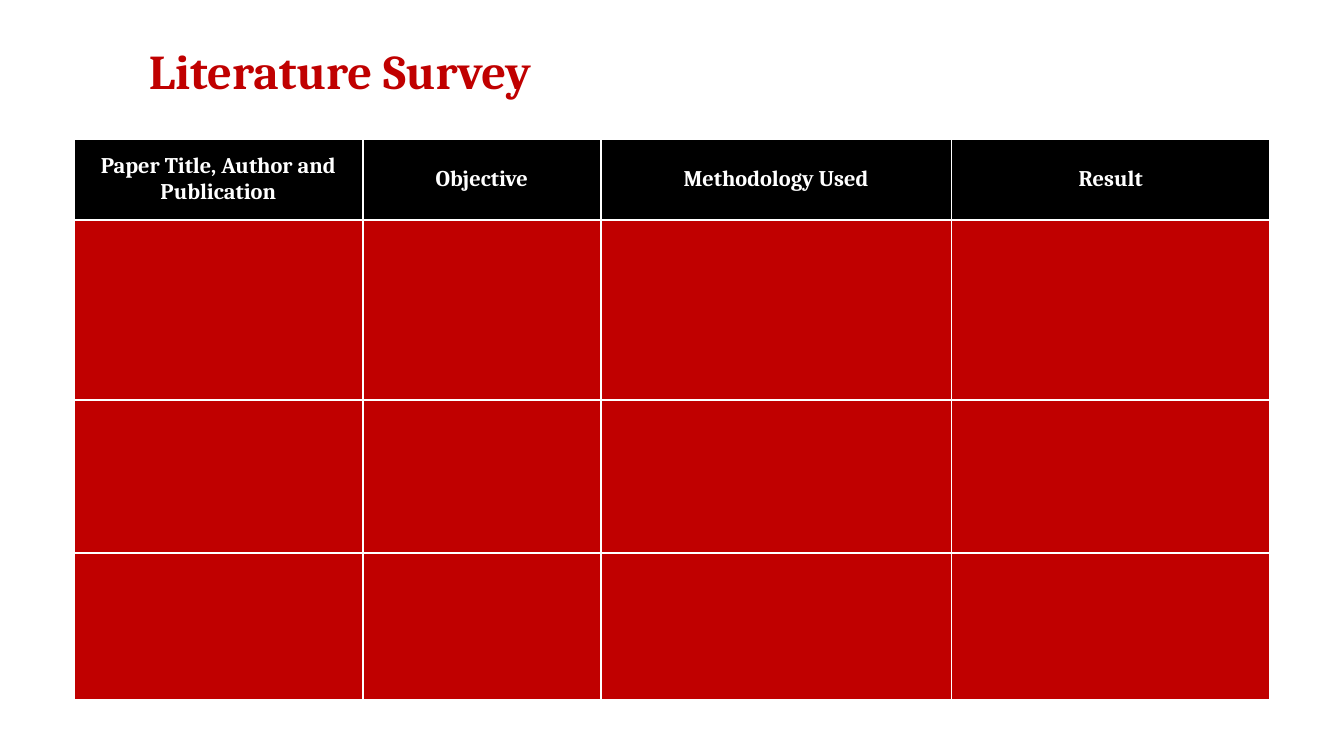
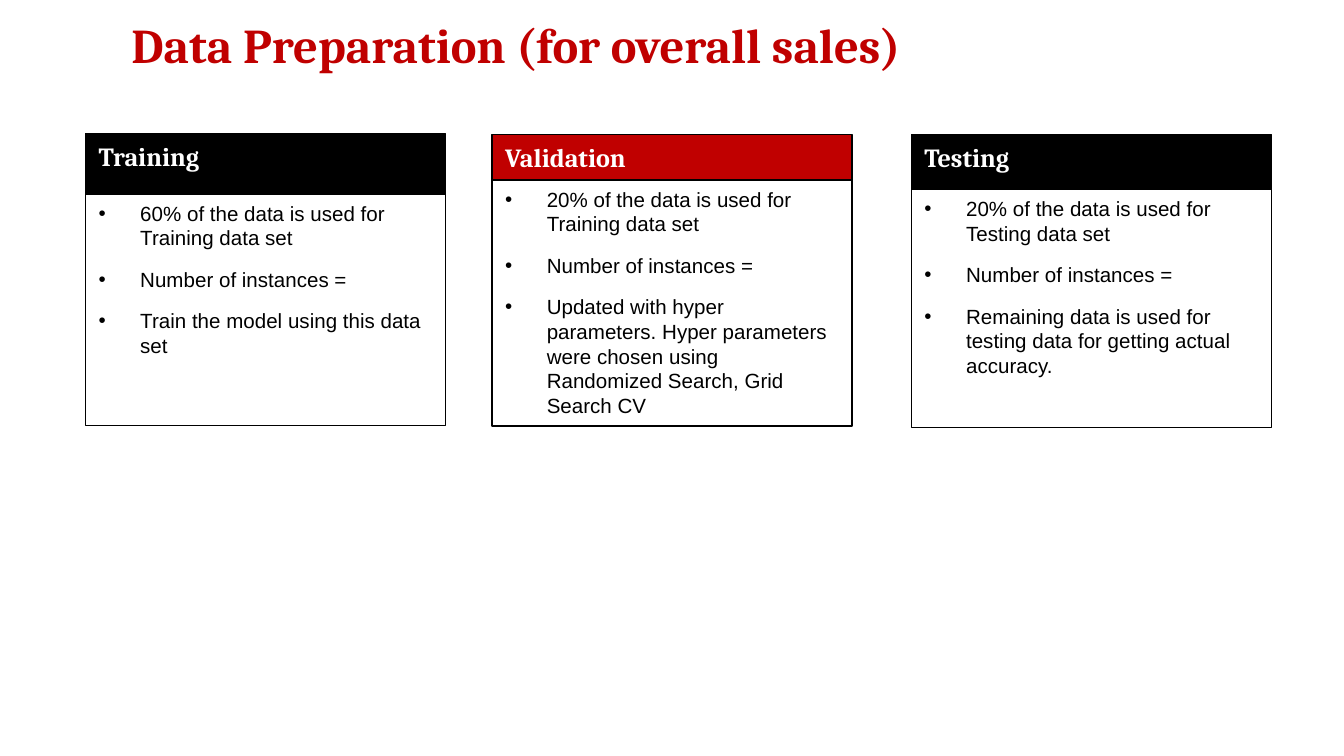
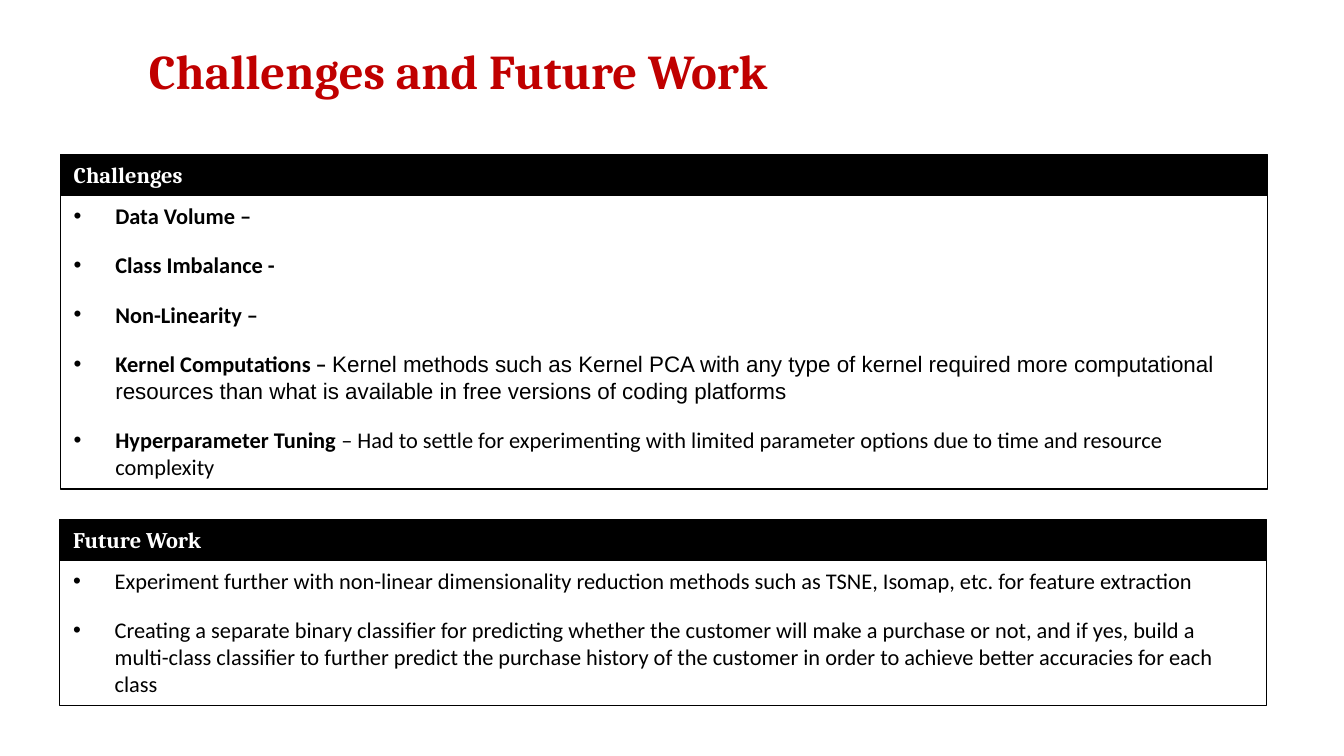
from dataclasses import dataclass

from lxml import etree
from pptx import Presentation
from pptx.dml.color import RGBColor
from pptx.enum.shapes import MSO_SHAPE
from pptx.enum.text import MSO_ANCHOR, MSO_AUTO_SIZE, PP_ALIGN
from pptx.oxml.ns import qn
from pptx.util import Pt

RECT = MSO_SHAPE.RECTANGLE
TOP, MIDDLE = MSO_ANCHOR.TOP, MSO_ANCHOR.MIDDLE
GROW = MSO_AUTO_SIZE.SHAPE_TO_FIT_TEXT
LEFT, CENTER = PP_ALIGN.LEFT, PP_ALIGN.CENTER
SCALE = 4572


@dataclass(frozen=True)
class Theme:
    red: str = "C00000"
    black: str = "000000"
    white: str = "FFFFFF"
    serif: str = "Cambria"
    sans: str = "Arial"
    text: str = "Calibri"
    title: int = 26
    head: int = 14
    body: int = 12
    small: int = 11
    line: float = 0.75
    grid: int = 1
    inset: int = 20
    indent: int = 62


def px(n):
    return n * SCALE


def rgb(code):
    return RGBColor.from_string(code)


class Deck:
    def __init__(self, theme, width, height):
        self.theme = theme
        self.file = Presentation()
        self.file.slide_width, self.file.slide_height = px(width), px(height)
        self.slide = None

    def page(self, title, x=202, y=51):
        self.slide = self.file.slides.add_slide(self.file.slide_layouts[6])
        t = self.theme
        box = self.slide.shapes.add_textbox(px(x), px(y), px(1650), px(108))
        frame = self.frame(box)
        frame.text = title
        self.font(frame.paragraphs[0].font, t.title, t.serif, t.red, True)

    def font(self, font, size, face, color, bold=False):
        font.size, font.name, font.bold = Pt(size), face, bold
        font.color.rgb = rgb(color)

    def frame(self, shape):
        frame = shape.text_frame
        frame.word_wrap = True
        frame.auto_size = GROW
        frame.vertical_anchor = TOP
        return frame

    def rect(self, home, x, y, w, h, fill=None):
        shape = home.add_shape(RECT, px(x), px(y), px(w), px(h))
        shape.shadow.inherit = False
        if fill:
            shape.fill.solid()
            shape.fill.fore_color.rgb = rgb(fill)
        else:
            shape.fill.background()
        shape.line.color.rgb = rgb(self.theme.black)
        shape.line.width = Pt(self.theme.line)
        return self.frame(shape)

    def bullet(self, para):
        props = para._p.get_or_add_pPr()
        props.set("marL", str(px(self.theme.indent)))
        props.set("indent", str(-px(self.theme.indent)))
        color = etree.Element(qn("a:buClr"))
        etree.SubElement(color, qn("a:srgbClr"), val=self.theme.black)
        face = etree.Element(qn("a:buFont"), typeface=self.theme.sans)
        mark = etree.Element(qn("a:buChar"), char="•")
        spot = props.find(qn("a:defRPr"))
        for part in (color, face, mark):
            if spot is None:
                props.append(part)
            else:
                spot.addprevious(part)

    def items(self, frame, items, size, before, after):
        for i, runs in enumerate(items):
            para = frame.add_paragraph() if i else frame.paragraphs[0]
            para.alignment = LEFT
            para.space_before, para.space_after = Pt(before), Pt(after)
            for text, face, bold in runs:
                run = para.add_run()
                run.text = text
                font = para.font if len(runs) == 1 else run.font
                self.font(font, size, face, self.theme.black, bold)
            self.bullet(para)

    def card(self, home, box, title, cap, items, size, fill=None,
             before=0, after=9):
        t = self.theme
        x, y, w, h, bar = box
        body = self.rect(home, x, y + bar, w, h - bar)
        self.items(body, items, size, before, after)
        head = self.rect(home, x, y, w, bar, fill or t.black)
        head.text = title
        para = head.paragraphs[0]
        para.alignment = LEFT
        self.font(para.font, cap, t.serif, t.white, True)

    def border(self, cell):
        props = cell._tc.get_or_add_tcPr()
        for i, side in enumerate(("lnL", "lnR", "lnT", "lnB")):
            line = etree.Element(qn("a:" + side), w=str(Pt(self.theme.grid)))
            fill = etree.SubElement(line, qn("a:solidFill"))
            etree.SubElement(fill, qn("a:srgbClr"), val=self.theme.white)
            props.insert(i, line)

    def table(self, x, y, cols, rows, heads):
        t = self.theme
        grid = self.slide.shapes.add_table(
            len(rows), len(cols), px(x), px(y), px(sum(cols)), px(sum(rows))).table
        for col, width in zip(grid.columns, cols):
            col.width = px(width)
        for row, height in zip(grid.rows, rows):
            row.height = px(height)
        for cell in grid.iter_cells():
            cell.fill.solid()
            cell.fill.fore_color.rgb = rgb(t.red)
            self.border(cell)
        for cell, text in zip(grid.rows[0].cells, heads):
            cell.fill.fore_color.rgb = rgb(t.black)
            cell.vertical_anchor = MIDDLE
            cell.margin_left = cell.margin_right = px(t.inset)
            cell.margin_top = cell.margin_bottom = px(t.inset)
            cell.text = text
            para = cell.text_frame.paragraphs[0]
            para.alignment = CENTER
            self.font(para.font, t.body, t.serif, t.white, True)


def survey(deck):
    deck.page("Literature Survey")
    deck.table(110, 207, (430, 354, 522, 474), (110, 268, 228, 219),
               ("Paper Title, Author and Publication", "Objective",
                "Methodology Used", "Result"))


def split(deck):
    t = deck.theme
    deck.page("Data Preparation (for overall sales)", 176, 12)
    count = "Number of instances ="
    cards = (
        ("Training", 127, 199, 90, 434, t.black,
         ("60% of the data is used for Training data set", count,
          "Train the model using this data set")),
        ("Testing", 1356, 200, 82, 436, t.black,
         ("20% of the data is used for Testing data set", count,
          "Remaining data is used for testing data for getting actual accuracy.")),
        ("Validation", 732, 200, 68, 434, t.red,
         ("20% of the data is used for Training data set", count,
          "Updated with hyper parameters. Hyper parameters were chosen using "
          "Randomized Search, Grid Search CV")),
    )
    for title, x, y, bar, h, fill, lines in cards:
        home = deck.slide.shapes.add_group_shape().shapes
        items = [[(line, t.sans, False)] for line in lines]
        deck.card(home, (x, y, 536, h, bar), title, t.head, items, t.small,
                  fill)


def future(deck):
    t = deck.theme
    deck.page("Challenges and Future Work")
    issues = [[(name, t.text, True)] for name in
              ("Data Volume – ", "Class Imbalance -", "Non-Linearity –")]
    issues += [
        [("Kernel Computations – ", t.text, True),
         ("Kernel methods such as Kernel PCA with any type of kernel required "
          "more computational resources than what is available in free "
          "versions of coding platforms ", t.sans, False)],
        [("Hyperparameter Tuning ", t.text, True),
         ("– Had to settle for experimenting with limited parameter "
          "options due to time and resource complexity", t.text, False)],
    ]
    plans = [[(plan, t.text, False)] for plan in (
        "Experiment further with non-linear dimensionality reduction methods "
        "such as TSNE, Isomap, etc. for feature extraction",
        "Creating a separate binary classifier for predicting whether the "
        "customer will make a purchase or not, and if yes, build a multi-class "
        "classifier to further predict the purchase history of the customer in "
        "order to achieve better accuracies for each class")]
    for title, x, y, h, items in (("Challenges", 90, 230, 498, issues),
                                  ("Future Work", 89, 773, 277, plans)):
        deck.card(deck.slide.shapes, (x, y, 1796, h, 61), title, t.body, items,
                  t.body, before=6, after=6)


def main():
    deck = Deck(Theme(), 2000, 1125)
    for build in (survey, split, future):
        build(deck)
    deck.file.save("out.pptx")


if __name__ == "__main__":
    main()
